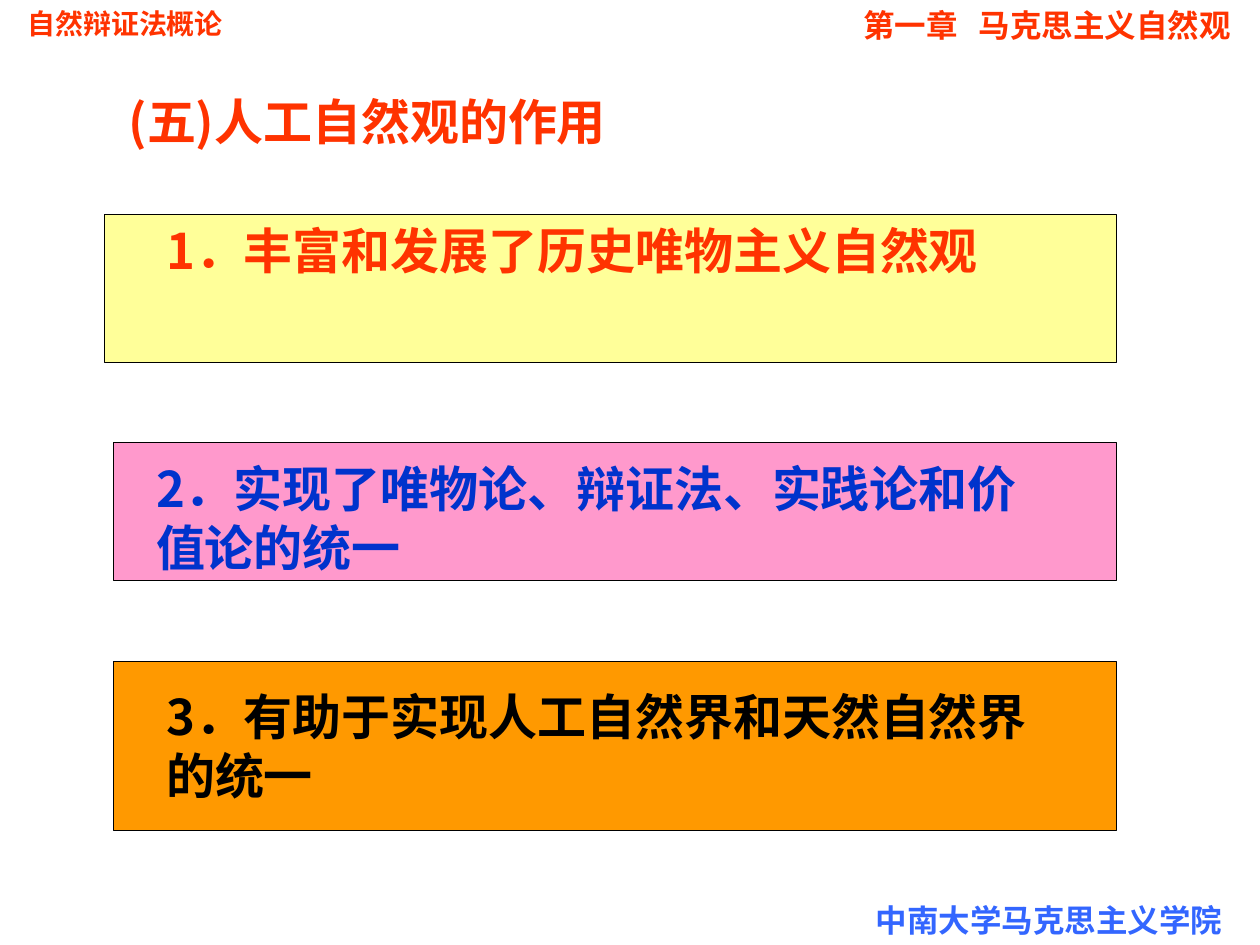
from lxml import etree
from pptx import Presentation
from pptx.dml.color import RGBColor
from pptx.enum import shapes as sh, text as tx
from pptx.oxml.ns import qn
from pptx.util import Inches, Pt

CJK = "Noto Sans CJK SC"
RED, BLUE = "FF3300", "0033CC"

# panel: left, top, width, height, fill; text: left, top, width, height, colour
POINTS = [
    ("1．丰富和发展了历史唯物主义自然观",
     (0.83, 1.7, 8.03, 1.18), "FFFF99", (1.22, 1.7, 7.32, 0.57), RED),
    ("2．实现了唯物论、辩证法、实践论和价值论的统一",
     (0.9, 3.51, 7.96, 1.1), "FF99CC", (1.14, 3.59, 7.4, 1.04), BLUE),
    ("3．有助于实现人工自然界和天然自然界的统一",
     (0.9, 5.25, 7.96, 1.34), "FF9900", (1.22, 5.4, 7.32, 1.04), "000000"),
]


def rgb(code):
    return RGBColor.from_string(code)


def put(obj, vals):
    for key, val in vals.items():
        setattr(obj, key, val)


def write(box, words, size, color, face=CJK, inset=0.1, tab=None):
    """Fill a text shape with one bold, left-aligned paragraph."""
    frame = box.text_frame
    put(frame, dict(word_wrap=True, auto_size=tx.MSO_AUTO_SIZE.NONE,
                    vertical_anchor=tx.MSO_ANCHOR.TOP,
                    margin_left=Inches(inset), margin_right=Inches(0.1),
                    margin_top=Inches(0.05), margin_bottom=Inches(0.05)))
    para = frame.paragraphs[0]
    para.alignment = tx.PP_ALIGN.LEFT
    if tab:
        stops = etree.SubElement(para._p.get_or_add_pPr(), qn("a:tabLst"))
        etree.SubElement(stops, qn("a:tab"), pos=str(Inches(tab)), algn="l")
    run = para.add_run()
    run.text = words
    put(run.font, dict(size=Pt(size), bold=True, name=face))
    run.font.color.rgb = rgb(color)
    etree.SubElement(run._r.get_or_add_rPr(), qn("a:ea"), typeface=CJK)


def label(slide, spot, words, size, color, **more):
    box = slide.shapes.add_textbox(*map(Inches, spot))
    write(box, words, size, color, **more)


def panel(slide, spot, color):
    box = slide.shapes.add_shape(sh.MSO_SHAPE.RECTANGLE, *map(Inches, spot))
    box.shadow.inherit = False
    box.fill.solid()
    box.fill.fore_color.rgb = rgb(color)
    box.line.color.rgb = rgb("000000")
    box.line.width = Pt(0.75)


def title(slide, spot, words):
    box = slide.shapes.title
    put(box, dict(zip(("left", "top", "width", "height"), map(Inches, spot))))
    write(box, words, 28, RED, inset=0.19)


def main():
    deck = Presentation()
    put(deck, dict(slide_width=Inches(10), slide_height=Inches(7.5)))
    slide = deck.slides.add_slide(deck.slide_layouts[5])

    label(slide, (0.12, 0, 3.78, 0.37), "自然辩证法概论", 16, RED, face="Arial")
    label(slide, (6.85, 7.1, 3.15, 0.4), "中南大学马克思主义学院", 18, "3366FF",
          face="Arial")
    label(slide, (6.34, 0, 3.66, 0.4), "第一章\t马克思主义自然观", 18, RED,
          face="Arial", inset=0.51, tab=0.92)

    title(slide, (0.83, 0.68, 7.95, 0.57), "(五)人工自然观的作用")
    for words, frame, fill, spot, color in POINTS:
        panel(slide, frame, fill)
        label(slide, spot, words, 28, color)
    deck.save("out.pptx")


if __name__ == "__main__":
    main()
